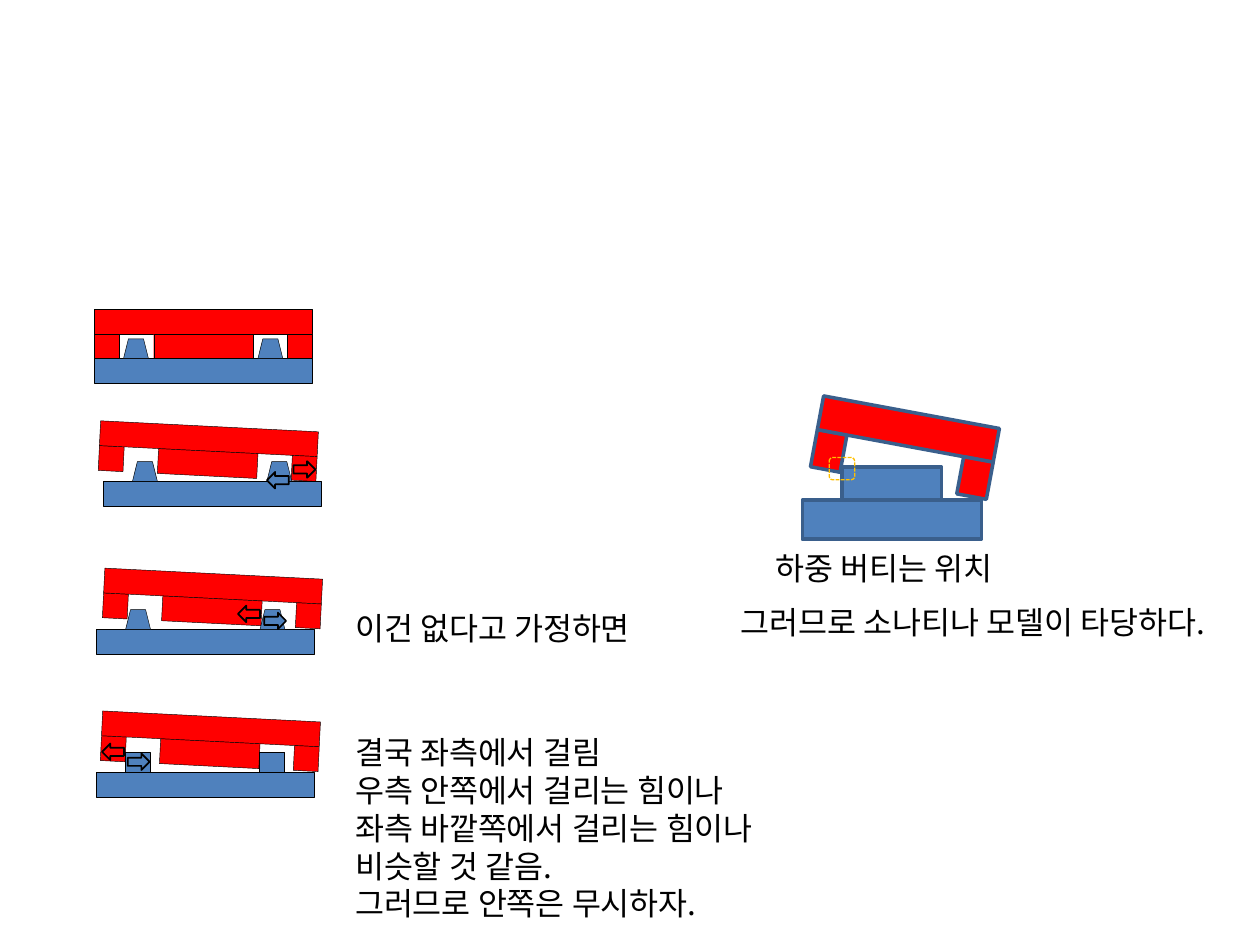
from math import cos, radians, sin

from lxml.etree import SubElement
from pptx import Presentation
from pptx.dml.color import RGBColor
from pptx.enum.dml import MSO_LINE
from pptx.enum.shapes import MSO_SHAPE as Kind
from pptx.enum.text import MSO_AUTO_SIZE as AutoSize
from pptx.oxml.ns import qn
from pptx.util import Pt

RED = RGBColor(0xFF, 0x00, 0x00)
BLUE = RGBColor(0x4F, 0x81, 0xBD)
NAVY = RGBColor(0x3A, 0x5F, 0x8C)
ORANGE = RGBColor(0xFF, 0xC0, 0x00)
BLACK = RGBColor(0x00, 0x00, 0x00)

BEAM_WIDTH, THICKNESS, BLOCK_WIDTH = 124.6, 14.2, 56.9
TAB_HEIGHT, TAB_OFFSETS = 11.2, (16.6, 93.4)
ARROW_WIDTH, ARROW_HEIGHT = 12.5, 9.4


class Sketch:
    """Draws on one slide; all lengths are points."""

    font = "Noto Sans CJK KR"
    text_size = 18
    line_height = 21.6

    def __init__(self, slide):
        self.slide = slide
        self.shapes = slide.shapes
        self.outline(BLACK, 0.25)

    def outline(self, color, width):
        self.line_color, self.line_width = color, width

    def start_group(self):
        self.shapes = self.slide.shapes.add_group_shape().shapes

    def end_group(self):
        self.shapes = self.slide.shapes

    def piece(self, kind, left, top, width, height, fill=None, turn=0):
        shape = self.shapes.add_shape(kind, Pt(left), Pt(top), Pt(width), Pt(height))
        shape.shadow.inherit = False
        shape.rotation = turn
        if fill is None:
            shape.fill.background()
        else:
            shape.fill.solid()
            shape.fill.fore_color.rgb = fill
        shape.line.color.rgb = self.line_color
        shape.line.width = Pt(self.line_width)
        return shape

    def cover(self, left, top, beam, foot, turn=0, block_width=None):
        """Beam with feet below it, turned as one body about the beam's centre."""
        beam_width, beam_height = beam
        foot_width, foot_height = foot
        center_x, center_y = left + beam_width / 2, top + beam_height / 2
        reach = (beam_width - foot_width) / 2
        drop = (beam_height + foot_height) / 2
        bodies = [(-reach, drop, foot_width, foot_height), (0, 0, *beam)]
        if block_width:
            bodies.append((0, drop, block_width, foot_height))
        bodies.append((reach, drop, foot_width, foot_height))
        c, s = cos(radians(turn)), sin(radians(turn))
        for x, y, width, height in bodies:
            self.piece(Kind.RECTANGLE,
                       center_x + x * c - y * s - width / 2,
                       center_y + x * s + y * c - height / 2,
                       width, height, RED, turn)

    def base(self, left, top, square_tabs=False):
        self.piece(Kind.RECTANGLE, left, top, BEAM_WIDTH, THICKNESS, BLUE)
        for offset in TAB_OFFSETS:
            tab = self.piece(Kind.TRAPEZOID, left + offset, top - TAB_HEIGHT,
                             THICKNESS, TAB_HEIGHT, BLUE)
            if square_tabs:
                tab.adjustments[0] = 0

    def force(self, left, top, fill, turn=0):
        self.piece(Kind.RIGHT_ARROW, left, top, ARROW_WIDTH, ARROW_HEIGHT, fill, turn)

    def text(self, left, top, width, height, *lines):
        box = self.shapes.add_textbox(Pt(left), Pt(top), Pt(width), Pt(height))
        frame = box.text_frame
        frame.word_wrap = False
        frame.auto_size = AutoSize.SHAPE_TO_FIT_TEXT
        for index, line in enumerate(lines):
            paragraph = frame.add_paragraph() if index else frame.paragraphs[0]
            paragraph.line_spacing = Pt(self.line_height)
            run = paragraph.add_run()
            run.text = line
            run.font.size = Pt(self.text_size)
            run.font.color.rgb = BLACK
            run.font.name = self.font
            east_asian = SubElement(run.font._element, qn("a:ea"))
            east_asian.set("typeface", self.font)


def draw_joint(sketch, cover_at, base_at, turn=0, square_tabs=False,
               right_force=None, left_force=None):
    sketch.start_group()
    sketch.outline(BLACK, 0.25)
    sketch.cover(*cover_at, (BEAM_WIDTH, THICKNESS), (THICKNESS, THICKNESS),
                 turn, BLOCK_WIDTH)
    sketch.base(*base_at, square_tabs)
    sketch.outline(BLACK, 1)
    if right_force:
        sketch.force(*right_force)
    if left_force:
        sketch.force(*left_force, turn=180)
    sketch.end_group()


def draw_load_position(sketch):
    sketch.start_group()
    sketch.outline(NAVY, 2)
    sketch.cover(468, 235.4, (102.2, 19.6), (17.2, 21.6), 10.5)
    sketch.piece(Kind.RECTANGLE, 481, 267, 57, 18.8, BLUE)
    sketch.piece(Kind.RECTANGLE, 458.5, 285.8, 102.4, 22.4, BLUE)
    sketch.outline(ORANGE, 0.75)
    contact = sketch.piece(Kind.ROUNDED_RECTANGLE, 473.8, 261.4, 14.6, 12.8)
    contact.line.dash_style = MSO_LINE.SQUARE_DOT
    sketch.text(436.3, 310.3, 154.8, 28.8, "하중 버티는 위치")
    sketch.end_group()


def main():
    deck = Presentation()
    deck.slide_width, deck.slide_height = Pt(720), Pt(540)
    sketch = Sketch(deck.slides.add_slide(deck.slide_layouts[6]))

    draw_joint(sketch, (54, 176.6), (54, 204.8))
    draw_joint(sketch, (57.1, 243.6), (59.1, 275), 2.9,
               right_force=(167.7, 263.6, RED), left_force=(152.5, 269.7, BLUE))
    draw_joint(sketch, (59.5, 327.8), (55.2, 359.6), 2.9,
               right_force=(151, 350.1, BLUE), left_force=(136, 346.1, RED))
    draw_joint(sketch, (58.3, 409.4), (55, 441.2), 2.9, square_tabs=True,
               right_force=(73, 430.6, BLUE), left_force=(58.3, 424.9, RED))

    sketch.text(195.8, 344.2, 190.8, 28.8, "이건 없다고 가정하면")
    sketch.text(195.8, 415.4, 270, 116.6,
                "결국 좌측에서 걸림",
                "우측 안쪽에서 걸리는 힘이나",
                "좌측 바깥쪽에서 걸리는 힘이나",
                "비슷할 것 같음.",
                "그러므로 안쪽은 무시하자.")
    sketch.text(416.2, 341.3, 310.3, 28.8, "그러므로 소나티나 모델이 타당하다.")
    draw_load_position(sketch)

    deck.save("out.pptx")


if __name__ == "__main__":
    main()
